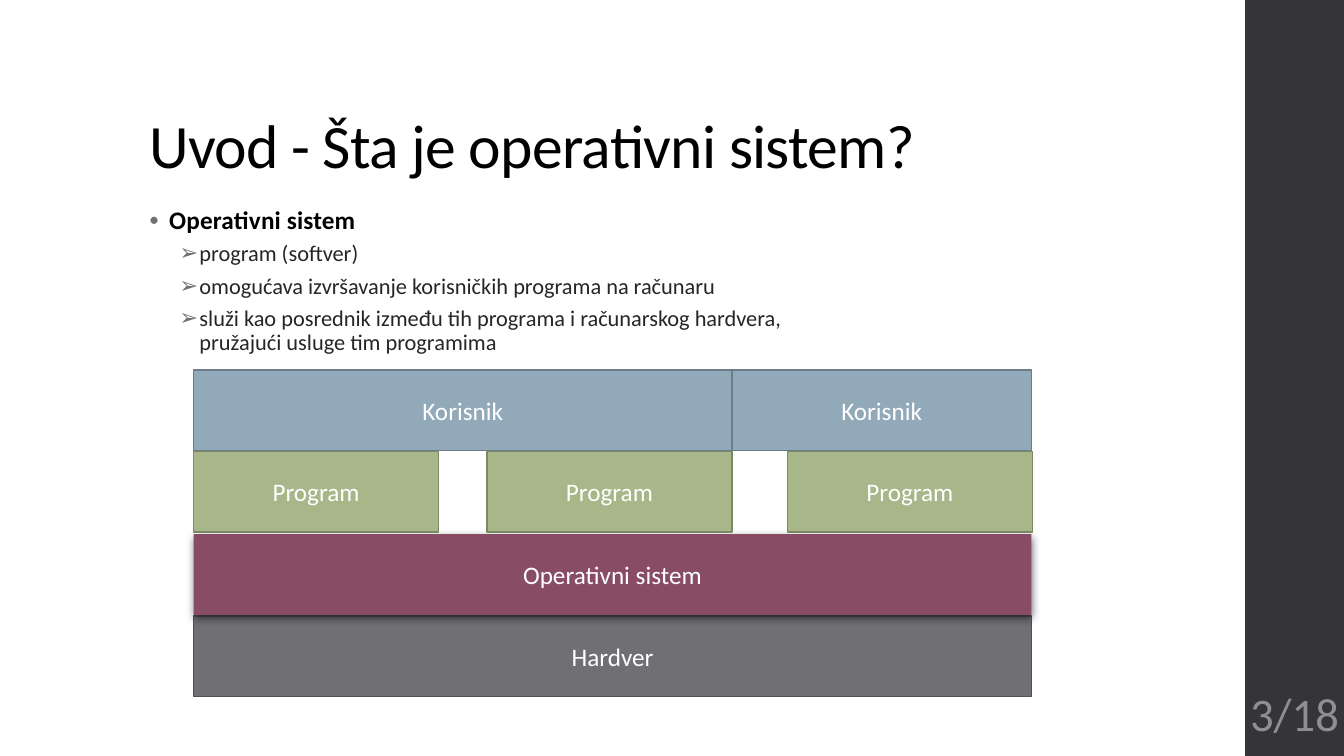
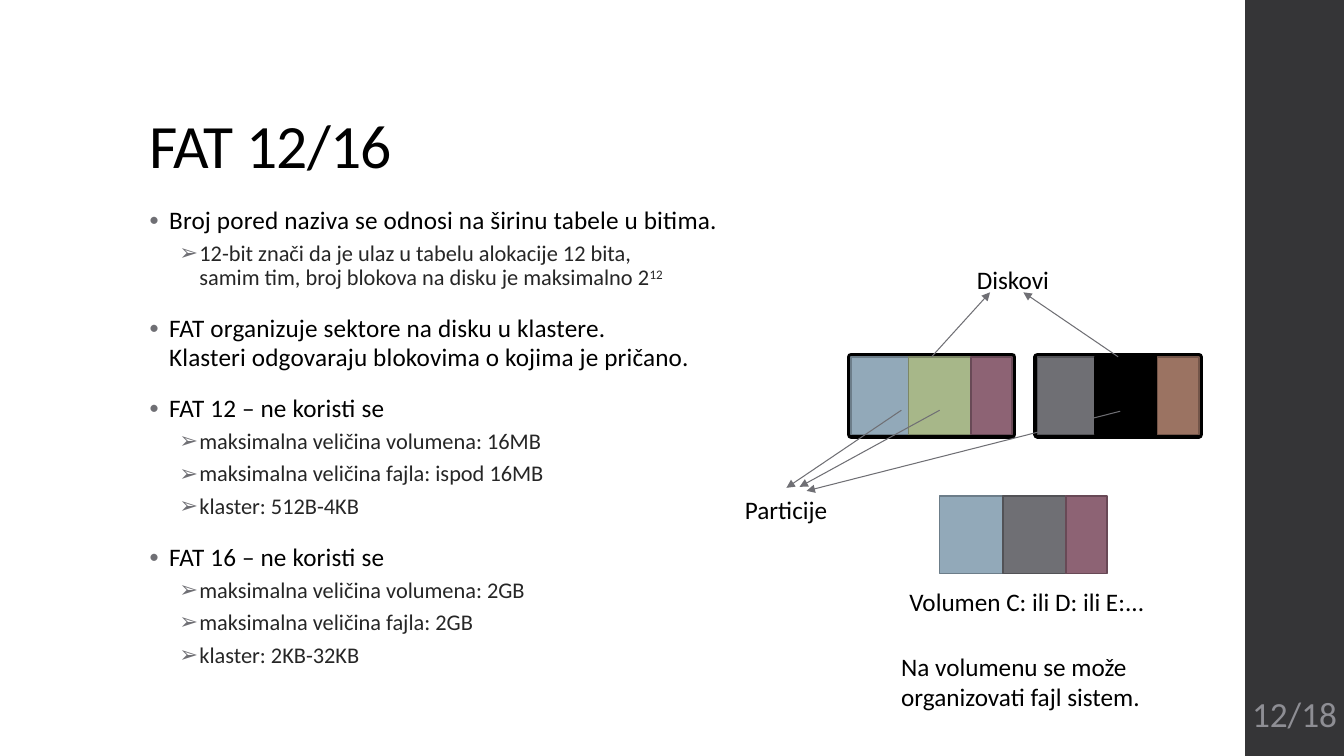
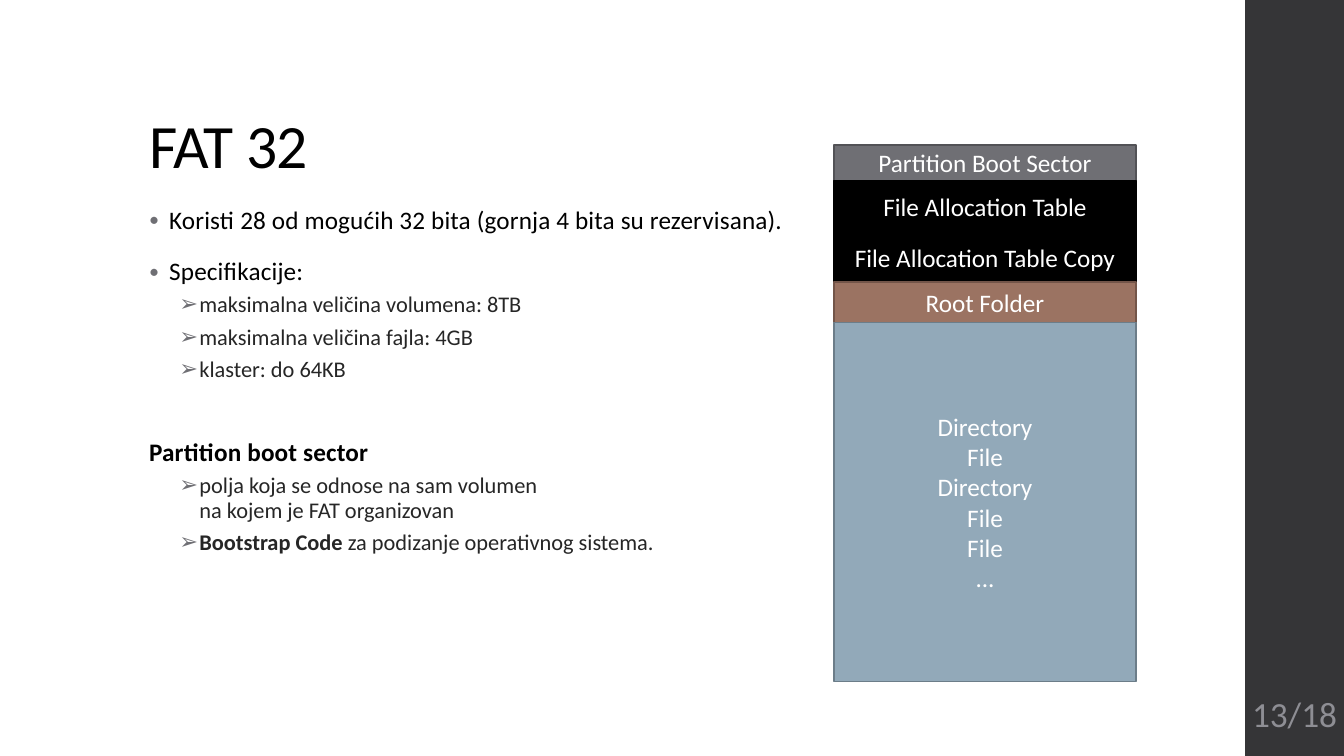
from dataclasses import dataclass
from itertools import accumulate
from typing import Any

from lxml.etree import SubElement
from pptx import Presentation
from pptx.dml.color import RGBColor
from pptx.enum.shapes import MSO_CONNECTOR, MSO_SHAPE
from pptx.enum.text import MSO_ANCHOR, MSO_AUTO_SIZE, PP_ALIGN
from pptx.oxml.ns import qn
from pptx.util import Emu, Pt

EMU_PER_PX = 9144
SLIDE_WIDTH, SLIDE_HEIGHT = 1333, 750
BAND_LEFT = 1235
FONT = "Calibri"

COLORS = {
    "band": "353537",
    "page": "8E8E94",
    "black": "000000",
    "black_edge": "000000",
    "white": "FFFFFF",
    "detail": "262626",
    "gray": "6F6F74",
    "gray_edge": "525256",
    "steel": "92A9B9",
    "steel_edge": "6C7D89",
    "green": "A7B789",
    "green_edge": "7C8765",
    "plum": "884C64",
    "mauve": "8D6374",
    "mauve_edge": "684956",
    "brown": "9B7362",
    "brown_edge": "735549",
}


@dataclass(frozen=True)
class TextStyle:
    """Size, colour and letter spacing of a run."""
    size: float
    color: str
    tracking: int = 0


@dataclass(frozen=True)
class LevelStyle:
    """Paragraph settings and bullet of an outline level."""
    text: TextStyle
    spacing: dict[str, Any]
    margin: int
    bullet: str
    bullet_percent: int = 100


@dataclass(frozen=True)
class Item:
    """One outline paragraph with optional bold lead and superscript."""
    text: str
    level: int = 1
    lead: str = ""
    power: str = ""
    bulleted: bool = True
    space_before: int | None = None


@dataclass(frozen=True)
class Block:
    """A filled rectangle of a diagram."""
    left: int
    top: int
    width: int
    height: int
    fill: str
    text: str = ""
    edge: str = ""
    edge_weight: float = 1.1
    shadow: bool = False


@dataclass(frozen=True)
class Label:
    """Free text beside a diagram."""
    left: int
    top: int
    width: int
    height: int
    text: str
    wrap: bool = False


@dataclass(frozen=True)
class Arrow:
    """A straight arrow between two points."""
    start: tuple[int, int]
    end: tuple[int, int]


TITLE = TextStyle(44, "black", -50)
BLOCK_TEXT = TextStyle(18, "white")
LABEL_TEXT = TextStyle(18, "black")
LEVELS = (
    LevelStyle(TextStyle(18, "black", 10),
               {"line_spacing": 0.95, "space_before": Pt(14), "space_after": Pt(2)},
               20, "•", 80),
    LevelStyle(TextStyle(16, "detail"),
               {"line_spacing": 0.9, "space_before": Pt(3), "space_after": Pt(3)},
               50, "➢"),
)
BULLET_INDENT = 20


def px(length: int) -> Emu:
    """Turn px into EMU."""
    return Emu(length * EMU_PER_PX)


def rgb(color: str) -> RGBColor:
    """Look up a colour by name."""
    return RGBColor.from_string(COLORS[color])


def apply_format(target: Any, values: dict[str, Any]) -> None:
    """Set each named attribute on the target."""
    for name, value in values.items():
        setattr(target, name, value)


def place(shape: Any, left: int, top: int, width: int, height: int) -> None:
    """Position and size a shape."""
    apply_format(shape, {"left": px(left), "top": px(top),
                         "width": px(width), "height": px(height)})


def style_run(run: Any, style: TextStyle, **extra: Any) -> None:
    """Apply a text style to a run."""
    apply_format(run.font, {"name": FONT, "size": Pt(style.size), **extra})
    run.font.color.rgb = rgb(style.color)
    if style.tracking:
        run._r.get_or_add_rPr().set("spc", str(style.tracking))


def write_text(frame: Any, text: str, style: TextStyle, **paragraph_format: Any) -> None:
    """Fill a text frame in one style."""
    frame.text = text
    for paragraph in frame.paragraphs:
        apply_format(paragraph, paragraph_format)
        for run in paragraph.runs:
            style_run(run, style)


def add_runs(paragraph: Any, text: str, style: TextStyle, bold: bool) -> None:
    """Append text, breaking lines at newlines."""
    for index, line in enumerate(text.split("\n")):
        if index:
            paragraph.add_line_break()
        run = paragraph.add_run()
        run.text = line
        style_run(run, style, bold=bold)


def add_bullet(paragraph: Any, level: LevelStyle) -> None:
    """Give a paragraph its hanging bullet."""
    properties = paragraph._p.get_or_add_pPr()
    properties.set("marL", str(px(level.margin)))
    properties.set("indent", str(-px(BULLET_INDENT)))
    color = SubElement(properties, qn("a:buClr"))
    SubElement(color, qn("a:srgbClr"), val=COLORS["gray"])
    SubElement(properties, qn("a:buSzPct"), val=str(level.bullet_percent * 1000))
    SubElement(properties, qn("a:buFont"), typeface=FONT)
    SubElement(properties, qn("a:buChar"), char=level.bullet)


def add_outline(slide: Any, items: list[Item]) -> None:
    """Write the two-level body text."""
    body = slide.shapes.add_textbox(px(138), px(200), px(940), px(476))
    frame = body.text_frame
    frame.word_wrap = True
    for index, item in enumerate(items):
        paragraph = frame.add_paragraph() if index else frame.paragraphs[0]
        level = LEVELS[item.level]
        apply_format(paragraph, {"level": item.level, **level.spacing})
        if item.space_before is not None:
            paragraph.space_before = Pt(item.space_before)
        if item.bulleted:
            add_bullet(paragraph, level)
        if item.lead:
            add_runs(paragraph, item.lead, level.text, True)
        if item.text:
            add_runs(paragraph, item.text, level.text, False)
        if item.power:
            add_runs(paragraph, item.power, level.text, False)
            paragraph.runs[-1]._r.get_or_add_rPr().set("baseline", "30000")


def add_block(slide: Any, block: Block) -> Any:
    """Draw a rectangle with centred text."""
    shape = slide.shapes.add_shape(MSO_SHAPE.RECTANGLE, px(block.left), px(block.top),
                                   px(block.width), px(block.height))
    shape.shadow.inherit = False
    shape.fill.solid()
    shape.fill.fore_color.rgb = rgb(block.fill)
    edge = block.edge or f"{block.fill}_edge"
    if edge in COLORS:
        shape.line.color.rgb = rgb(edge)
        shape.line.width = Pt(block.edge_weight)
    else:
        shape.line.fill.background()
    if block.shadow:
        effects = shape._element.spPr.find(qn("a:effectLst"))
        outer = SubElement(effects, qn("a:outerShdw"), blurRad=str(Pt(6)),
                           dist=str(Pt(2)), dir="5400000", rotWithShape="0")
        color = SubElement(outer, qn("a:srgbClr"), val=COLORS["black"])
        SubElement(color, qn("a:alpha"), val="55000")
    if block.text:
        shape.text_frame.vertical_anchor = MSO_ANCHOR.MIDDLE
        write_text(shape.text_frame, block.text, BLOCK_TEXT, alignment=PP_ALIGN.CENTER)
    return shape


def add_label(slide: Any, label: Label) -> None:
    """Write a label in a text box."""
    box = slide.shapes.add_textbox(px(label.left), px(label.top),
                                   px(label.width), px(label.height))
    apply_format(box.text_frame, {"word_wrap": label.wrap,
                                  "auto_size": MSO_AUTO_SIZE.SHAPE_TO_FIT_TEXT})
    write_text(box.text_frame, label.text, LABEL_TEXT)


def add_arrow(slide: Any, arrow: Arrow) -> None:
    """Draw a thin arrow with a triangle head."""
    line = slide.shapes.add_connector(MSO_CONNECTOR.STRAIGHT,
                                      *map(px, arrow.start + arrow.end))
    line.line.color.rgb = rgb("gray")
    line.line.width = Pt(0.75)
    SubElement(line.line._get_or_add_ln(), qn("a:tailEnd"), type="triangle")
    SubElement(line._element.spPr, qn("a:effectLst"))


def add_band(slide: Any) -> None:
    """Put the side band on the layout that the slides share."""
    band = add_block(slide, Block(BAND_LEFT, 0, SLIDE_WIDTH - BAND_LEFT,
                                  SLIDE_HEIGHT, "band"))
    slide.slide_layout.shapes._spTree.append(band._element)


def add_page(deck: Any, title: str, page: str, page_size: float, items: list[Item]) -> Any:
    """Start a slide with title, outline and page number."""
    slide = deck.slides.add_slide(deck.slide_layouts[5])
    heading = slide.shapes.title
    place(heading, 138, 40, 1060, 145)
    apply_format(heading.text_frame, {"vertical_anchor": MSO_ANCHOR.BOTTOM,
                                      "auto_size": MSO_AUTO_SIZE.NONE,
                                      "word_wrap": True})
    write_text(heading.text_frame, title, TITLE,
               alignment=PP_ALIGN.LEFT, line_spacing=0.9)
    add_outline(slide, items)
    number = slide.shapes.add_textbox(px(BAND_LEFT), px(675),
                                      px(SLIDE_WIDTH - BAND_LEFT), px(65))
    apply_format(number.text_frame, {"vertical_anchor": MSO_ANCHOR.MIDDLE,
                                     "word_wrap": True,
                                     "margin_left": px(0), "margin_right": px(0)})
    write_text(number.text_frame, page, TextStyle(page_size, "page"),
               alignment=PP_ALIGN.CENTER)
    return slide


def build_introduction(deck: Any) -> None:
    """Show the layers from user to hardware."""
    slide = add_page(deck, "Uvod - Šta je operativni sistem?", "3/18", 33.3, [
        Item("", 0, lead="Operativni sistem"),
        Item("program (softver)"),
        Item("omogućava izvršavanje korisničkih programa na računaru"),
        Item("služi kao posrednik između tih programa i računarskog hardvera,\n"
             "pružajući usluge tim programima"),
    ])
    add_band(slide)
    left, width, height = 192, 831, 80
    users, programs, system, hardware = (round(367 + 81.4 * row) for row in range(4))
    add_block(slide, Block(left, hardware, width, height, "gray", "Hardver"))
    add_block(slide, Block(left, system, width, height, "plum", "Operativni sistem",
                           shadow=True))
    for program_left in (left, 483, 781):
        add_block(slide, Block(program_left, programs, 243, height, "green", "Program"))
    for user_left, user_width in ((left, 534), (726, 297)):
        add_block(slide, Block(user_left, users, user_width, height, "steel", "Korisnik"))


def add_partitions(slide: Any, left: int, top: int, widths: tuple[int, ...],
                   fills: tuple[str, ...]) -> None:
    """Draw partitions side by side."""
    lefts = accumulate(widths[:-1], initial=left)
    for partition_left, width, fill in zip(lefts, widths, fills):
        add_block(slide, Block(partition_left, top, width, 77, fill))


def build_fat16(deck: Any) -> None:
    """Show disks, partitions and a volume."""
    slide = add_page(deck, "FAT 12/16", "12/18", 25.2, [
        Item("Broj pored naziva se odnosi na širinu tabele u bitima.", 0),
        Item("12-bit znači da je ulaz u tabelu alokacije 12 bita,\n"
             "samim tim, broj blokova na disku je maksimalno 2", power="12"),
        Item("FAT organizuje sektore na disku u klastere.\n"
             "Klasteri odgovaraju blokovima o kojima je pričano.", 0),
        Item("FAT 12 – ne koristi se", 0),
        Item("maksimalna veličina volumena: 16MB"),
        Item("maksimalna veličina fajla: ispod 16MB"),
        Item("klaster: 512B-4KB"),
        Item("FAT 16 – ne koristi se", 0),
        Item("maksimalna veličina volumena: 2GB"),
        Item("maksimalna veličina fajla: 2GB"),
        Item("klaster: 2KB-32KB"),
    ])
    disk_top = 354
    disks = ((844, ("steel", "green", "mauve")), (1029, ("gray", "black", "brown")))
    for disk_left, fills in disks:
        add_block(slide, Block(disk_left, disk_top, 160, 77, "gray",
                               edge="black", edge_weight=6))
        add_partitions(slide, disk_left, disk_top, (57, 62, 41), fills)
    add_partitions(slide, 932, 492, (63, 62, 41), ("steel", "gray", "mauve"))
    for arrow in (
        Arrow((924, disk_top), (982, 290)),
        Arrow((1109, disk_top), (1015, 290)),
        Arrow((894, 407), (780, 484)),
        Arrow((1111, 408), (800, 487)),
        Arrow((932, 407), (793, 483)),
    ):
        add_arrow(slide, arrow)
    for label in (
        Label(959, 257, 92, 40, "Diskovi"),
        Label(729, 485, 103, 40, "Particije"),
        Label(892, 577, 257, 40, "Volumen C: ili D: ili E:..."),
        Label(884, 641, 263, 71, "Na volumenu se može organizovati fajl sistem.", True),
    ):
        add_label(slide, label)


def build_fat32(deck: Any) -> None:
    """Show the regions of a volume from top to bottom."""
    slide = add_page(deck, "FAT 32", "13/18", 25.2, [
        Item("Koristi 28 od mogućih 32 bita (gornja 4 bita su rezervisana).", 0),
        Item("Specifikacije:", 0),
        Item("maksimalna veličina volumena: 8TB"),
        Item("maksimalna veličina fajla: 4GB"),
        Item("klaster: do 64KB"),
        Item("", 0, lead="Partition boot sector", bulleted=False, space_before=37),
        Item("polja koja se odnose na sam volumen\nna kojem je FAT organizovan"),
        Item("za podizanje operativnog sistema.", lead="Bootstrap Code "),
    ])
    regions = (
        (35, "gray", "Partition Boot Sector"),
        (51, "black", "File Allocation Table"),
        (50, "black", "File Allocation Table Copy"),
        (40, "brown", "Root Folder"),
        (356, "steel", "Directory\nFile\nDirectory\nFile\nFile\n..."),
    )
    tops = accumulate((height for height, _, _ in regions[:-1]), initial=144)
    for top, (height, fill, text) in zip(tops, regions):
        add_block(slide, Block(827, top, 300, height, fill, text))


def main() -> None:
    """Build and save the deck."""
    deck = Presentation()
    apply_format(deck, {"slide_width": px(SLIDE_WIDTH), "slide_height": px(SLIDE_HEIGHT)})
    for build in (build_introduction, build_fat16, build_fat32):
        build(deck)
    deck.save("out.pptx")


if __name__ == "__main__":
    main()
